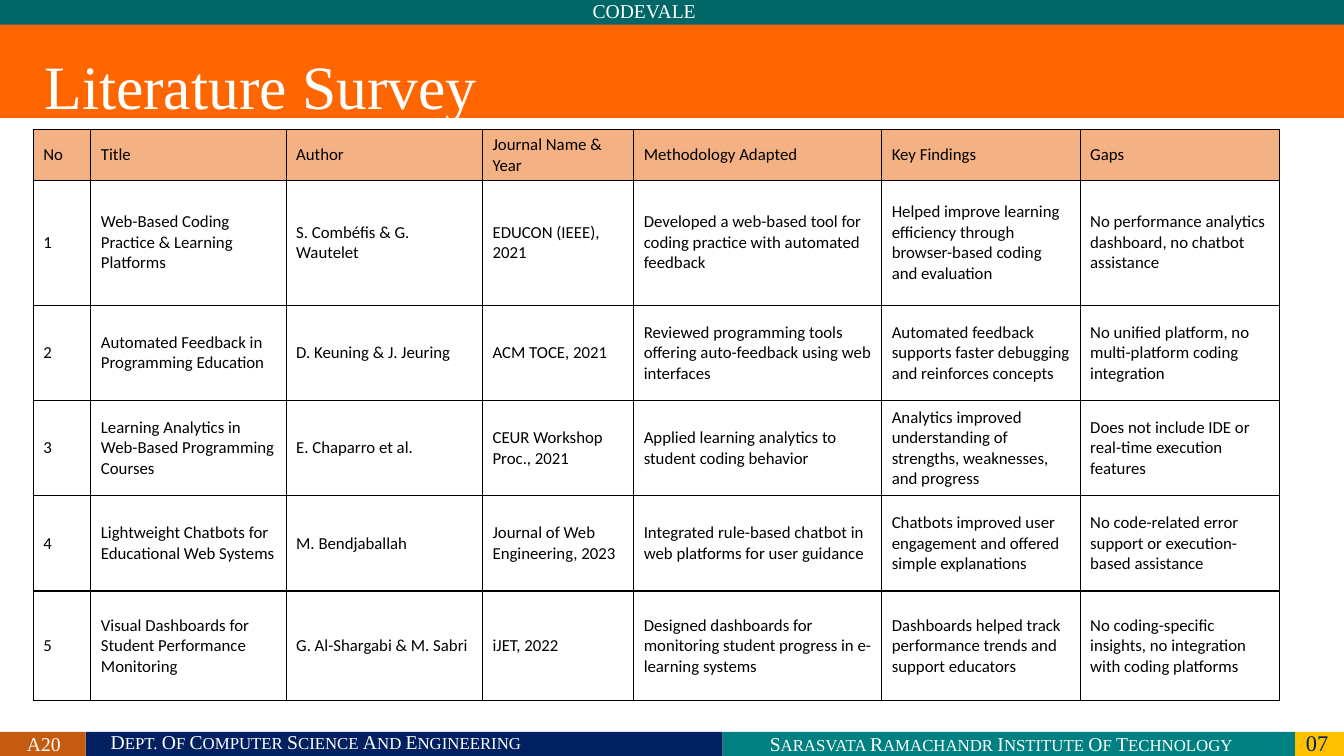
import pptx
import pptx.dml.color
import pptx.enum.shapes
import pptx.enum.text
import pptx.oxml
import pptx.util

Cm = pptx.util.Cm
Pt = pptx.util.Pt
ALIGN = pptx.enum.text.PP_ALIGN
ANCHOR = pptx.enum.text.MSO_ANCHOR
SERIF = "Times New Roman"
WHITE = "FFFFFF"
NAVY = "002060"

BANDS = [
    (2.16, 18.44, 16.05, 0.61, NAVY),
    (18.21, 18.44, 14.43, 0.61, "008080"),
    (32.64, 18.44, 1.23, 0.61, "FFC000"),
    (0, 0, 33.87, 0.63, "006666"),
    (0, 18.44, 2.16, 0.61, "C55A11"),
    (0, 0.62, 33.87, 2.35, "FF6600"),
]

COLUMN_WIDTHS = [1.45, 4.92, 4.95, 3.81, 6.25, 5, 5.02]
ROW_HEIGHTS = [1.22, 3.15, 2.4, 2.4, 2.4, 2.77]
SURVEY = [
    ["No", "Title", "Author", "Journal Name & Year", "Methodology Adapted",
     "Key Findings", "Gaps"],
    ["1", "Web-Based Coding Practice & Learning Platforms",
     "S. Combéfis & G. Wautelet", "EDUCON (IEEE), 2021",
     "Developed a web-based tool for coding practice with automated feedback",
     "Helped improve learning efficiency through browser-based coding and evaluation",
     "No performance analytics dashboard, no chatbot assistance"],
    ["2", "Automated Feedback in Programming Education",
     "D. Keuning & J. Jeuring", "ACM TOCE, 2021",
     "Reviewed programming tools offering auto-feedback using web interfaces",
     "Automated feedback supports faster debugging and reinforces concepts",
     "No unified platform, no multi-platform coding integration"],
    ["3", "Learning Analytics in Web-Based Programming Courses",
     "E. Chaparro et al.", "CEUR Workshop Proc., 2021",
     "Applied learning analytics to student coding behavior",
     "Analytics improved understanding of strengths, weaknesses, and progress",
     "Does not include IDE or real-time execution features"],
    ["4", "Lightweight Chatbots for Educational Web Systems",
     "M. Bendjaballah", "Journal of Web Engineering, 2023",
     "Integrated rule-based chatbot in web platforms for user guidance",
     "Chatbots improved user engagement and offered simple explanations",
     "No code-related error support or execution-based assistance"],
    ["5", "Visual Dashboards for Student Performance Monitoring",
     "G. Al-Shargabi & M. Sabri", "iJET, 2022",
     "Designed dashboards for monitoring student progress in e-learning systems",
     "Dashboards helped track performance trends and support educators",
     "No coding-specific insights, no integration with coding platforms"],
]


def rgb(value):
    return pptx.dml.color.RGBColor.from_string(value)


def apply_format(target, values):
    for name, value in values.items():
        setattr(target, name, value)


def add_run(paragraph, text, size, color, font=SERIF):
    run = paragraph.add_run()
    run.text = text
    apply_format(run.font, {"name": font, "size": Pt(size)})
    run.font.color.rgb = rgb(color)


def add_band(slide, left, top, width, height, color):
    band = slide.shapes.add_shape(pptx.enum.shapes.MSO_SHAPE.RECTANGLE,
                                  Cm(left), Cm(top), Cm(width), Cm(height))
    band.shadow.inherit = False
    band.fill.solid()
    band.fill.fore_color.rgb = rgb(color)
    band.line.fill.background()


def add_label(slide, left, top, width, height, align=ALIGN.LEFT):
    label = slide.shapes.add_textbox(Cm(left), Cm(top), Cm(width), Cm(height))
    label.text_frame.word_wrap = True
    paragraph = label.text_frame.paragraphs[0]
    paragraph.alignment = align
    return paragraph


def add_small_caps(paragraph, text):
    words = text.split()
    for number, word in enumerate(words, 1):
        add_run(paragraph, word[0], 14, WHITE)
        add_run(paragraph, word[1:] + (" " if number < len(words) else ""), 12, WHITE)


def set_title(slide, text):
    title = slide.shapes.title
    apply_format(title, {"left": Cm(0.84), "top": Cm(1.1),
                         "width": Cm(20.32), "height": Cm(1.87)})
    apply_format(title.text_frame, {
        "vertical_anchor": ANCHOR.TOP, "word_wrap": True,
        "margin_top": Cm(0.1), "margin_bottom": 0, "margin_left": Cm(0.28),
        "auto_size": pptx.enum.text.MSO_AUTO_SIZE.NONE})
    paragraph = title.text_frame.paragraphs[0]
    paragraph.alignment = ALIGN.LEFT
    add_run(paragraph, text, 44, WHITE)


def add_borders(cell):
    properties = cell._tc.get_or_add_tcPr()
    for position, side in enumerate(("lnL", "lnR", "lnT", "lnB")):
        border = pptx.oxml.parse_xml(
            f'<a:{side} xmlns:a="http://schemas.openxmlformats.org/drawingml/2006/main"'
            f' w="{Pt(1)}"><a:solidFill><a:srgbClr val="000000"/></a:solidFill></a:{side}>')
        properties.insert(position, border)


def fill_cell(cell, text, is_header):
    cell.vertical_anchor = ANCHOR.MIDDLE
    add_run(cell.text_frame.paragraphs[0], text, 12, "000000", "Calibri")
    if is_header:
        cell.fill.solid()
        cell.fill.fore_color.rgb = rgb("F4B183")
    else:
        cell.fill.background()
    add_borders(cell)


def add_survey_table(slide):
    table = slide.shapes.add_table(
        len(SURVEY), len(COLUMN_WIDTHS), Cm(0.84), Cm(3.27),
        Cm(sum(COLUMN_WIDTHS)), Cm(sum(ROW_HEIGHTS))).table
    apply_format(table, {"first_row": False, "horz_banding": False})
    for column, width in zip(table.columns, COLUMN_WIDTHS):
        column.width = Cm(width)
    for row, height, entries in zip(table.rows, ROW_HEIGHTS, SURVEY):
        row.height = Cm(height)
        for cell, text in zip(row.cells, entries):
            fill_cell(cell, text, entries is SURVEY[0])


def main():
    deck = pptx.Presentation()
    apply_format(deck, {"slide_width": Cm(33.87), "slide_height": Cm(19.05)})
    slide = deck.slides.add_slide(deck.slide_layouts[5])
    for band in BANDS:
        add_band(slide, *band)
    slide.shapes._spTree.append(slide.shapes.title._element)
    set_title(slide, "Literature Survey")
    add_run(add_label(slide, 0.43, 18.31, 2.11, 0.86), "A20", 14, WHITE)
    add_small_caps(add_label(slide, 2.54, 18.26, 15.67, 0.86),
                   "DEPT. OF COMPUTER SCIENCE AND ENGINEERING")
    add_small_caps(add_label(slide, 19.15, 18.31, 14.6, 0.86),
                   "SARASVATA RAMACHANDR INSTITUTE OF TECHNOLOGY")
    add_run(add_label(slide, 32.66, 18.26, 1.27, 0.94), "07", 16, NAVY)
    add_run(add_label(slide, 3.18, -0.15, 26.11, 0.86, ALIGN.CENTER),
            "CODEVALE", 14, WHITE)
    add_survey_table(slide)
    deck.save("out.pptx")


if __name__ == "__main__":
    main()
